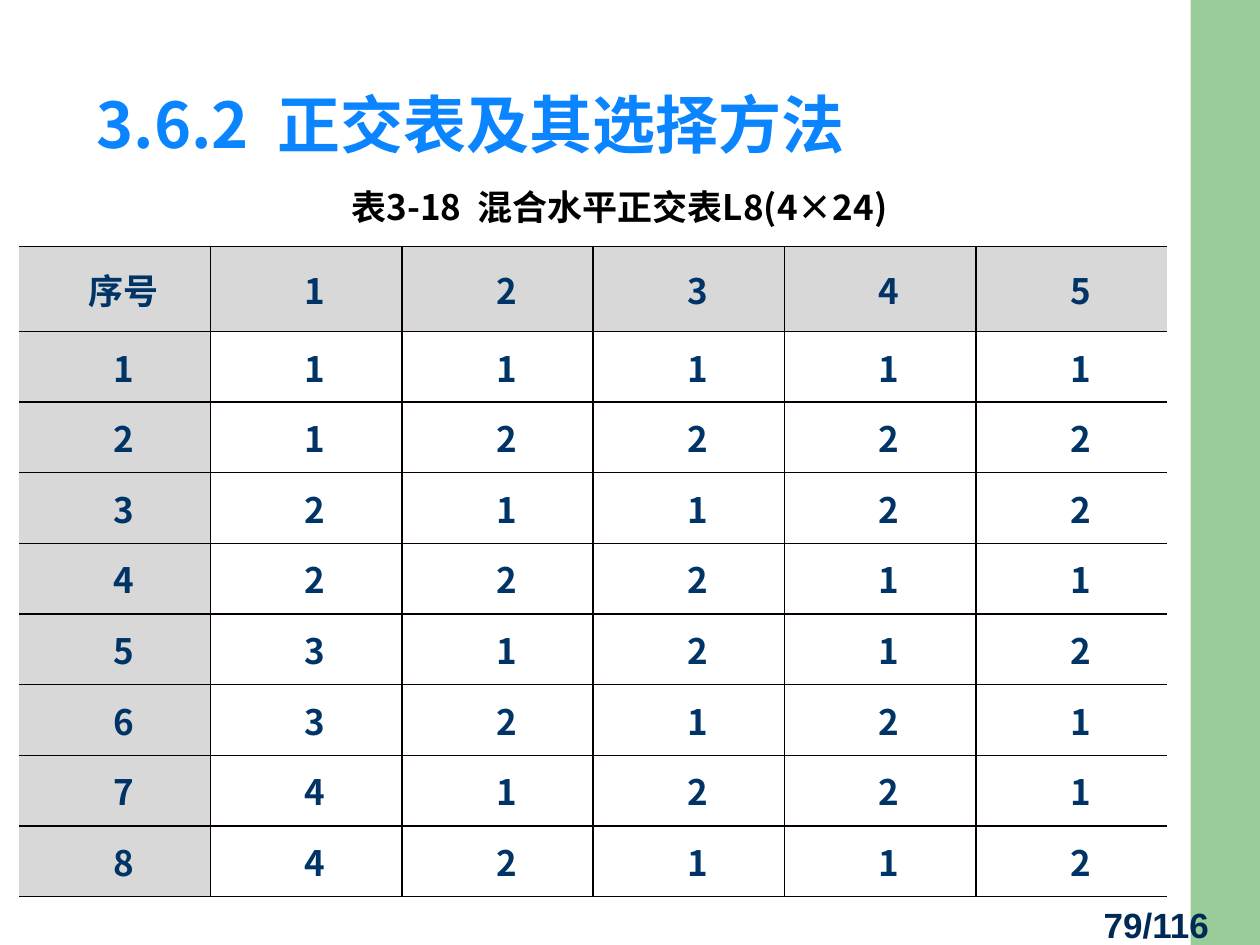
from lxml.etree import SubElement
from pptx import Presentation
from pptx.dml.color import RGBColor
from pptx.enum.shapes import MSO_SHAPE
from pptx.enum.text import MSO_ANCHOR, PP_ALIGN
from pptx.oxml.ns import qn
from pptx.util import Pt

CJK = "Noto Sans CJK SC"
NAVY, GRAY, LINE = "003366", "D8D8D8", "080000"
ROWS = ["序号 1 2 3 4 5", "1 1 1 1 1 1", "2 1 2 2 2 2",
        "3 2 1 1 2 2", "4 2 2 2 1 1", "5 3 1 2 1 2",
        "6 3 2 1 2 1", "7 4 1 2 2 1", "8 4 2 1 1 2"]


def color(code):
    return RGBColor.from_string(code)


def style(para, size, code, face=CJK):
    font = para.font
    font.size, font.bold, font.name = Pt(size), True, face
    font.color.rgb = color(code)
    # East Asian glyphs need their own typeface entry
    for run in para.runs:
        props = run._r.get_or_add_rPr()
        SubElement(props, qn("a:ea")).set("typeface", face)


def add_text(slide, box, text, size, code, face=CJK):
    frame = slide.shapes.add_textbox(*map(Pt, box)).text_frame
    frame.word_wrap = True
    frame.text = text
    style(frame.paragraphs[0], size, code, face)
    return frame


def add_bar(slide, box):
    bar = slide.shapes.add_shape(MSO_SHAPE.RECTANGLE, *map(Pt, box))
    bar.shadow.inherit = False
    bar.fill.solid()
    bar.fill.fore_color.rgb = color("99CC99")
    bar.line.fill.background()


def add_title(slide, box):
    frame = add_text(slide, box, "3.6.2  正交表及其选择方法", 36, "0A85FF")
    frame.vertical_anchor = MSO_ANCHOR.BOTTOM
    frame.paragraphs[0].line_spacing = 0.9


def add_body(slide, box):
    frame = add_text(slide, box, "表3-18  混合水平正交表L8(4×24)", 20, "000000")
    frame.margin_left, frame.margin_top = Pt(30), Pt(18)
    frame.paragraphs[0].alignment = PP_ALIGN.CENTER


def add_edge(cell, side, shown):
    edge = SubElement(cell._tc.get_or_add_tcPr(), qn("a:ln" + side))
    edge.set("w", str(Pt(1)))
    if shown:
        fill = SubElement(edge, qn("a:solidFill"))
        SubElement(fill, qn("a:srgbClr")).set("val", LINE)
    else:
        SubElement(edge, qn("a:noFill"))


def fill_cell(cell, text, head, first, last):
    cell.text = text
    cell.vertical_anchor = MSO_ANCHOR.MIDDLE
    cell.margin_left = cell.margin_right = Pt(5)
    cell.margin_top = cell.margin_bottom = 0
    para = cell.text_frame.paragraphs[0]
    para.alignment = PP_ALIGN.CENTER
    para._p.get_or_add_pPr().set("indent", str(Pt(10)))
    style(para, 20, NAVY)
    # The outer left and right sides stay open
    for side, shown in zip("LRTB", (not first, not last, True, True)):
        add_edge(cell, side, shown)
    if head or first:
        cell.fill.solid()
        cell.fill.fore_color.rgb = color(GRAY)
    else:
        cell.fill.background()


def add_grid(slide, box, top=48.4):
    data = [row.split() for row in ROWS]
    count, width = len(data), len(data[0])
    table = slide.shapes.add_table(count, width, *map(Pt, box)).table
    for col in table.columns:
        col.width = Pt(box[2] / width)
    for r, row in enumerate(data):
        table.rows[r].height = Pt(top if r == 0 else (box[3] - top) / (count - 1))
        for c, text in enumerate(row):
            fill_cell(table.cell(r, c), text, r == 0, c == 0, c == width - 1)


def main():
    deck = Presentation()
    deck.slide_width, deck.slide_height = Pt(720), Pt(540)
    slide = deck.slides.add_slide(deck.slide_layouts[6])
    # Side bar, heading and table caption
    add_bar(slide, (680.4, 0, 39.6, 540))
    add_title(slide, (48, 31, 624, 65))
    add_body(slide, (11, 88, 663, 425))
    # Orthogonal array
    add_grid(slide, (11, 141, 656, 371.4))
    # Page number
    add_text(slide, (623.6, 512.6, 96, 27), "79/116", 20, "002A56", "Arial")
    deck.save("out.pptx")


if __name__ == "__main__":
    main()
